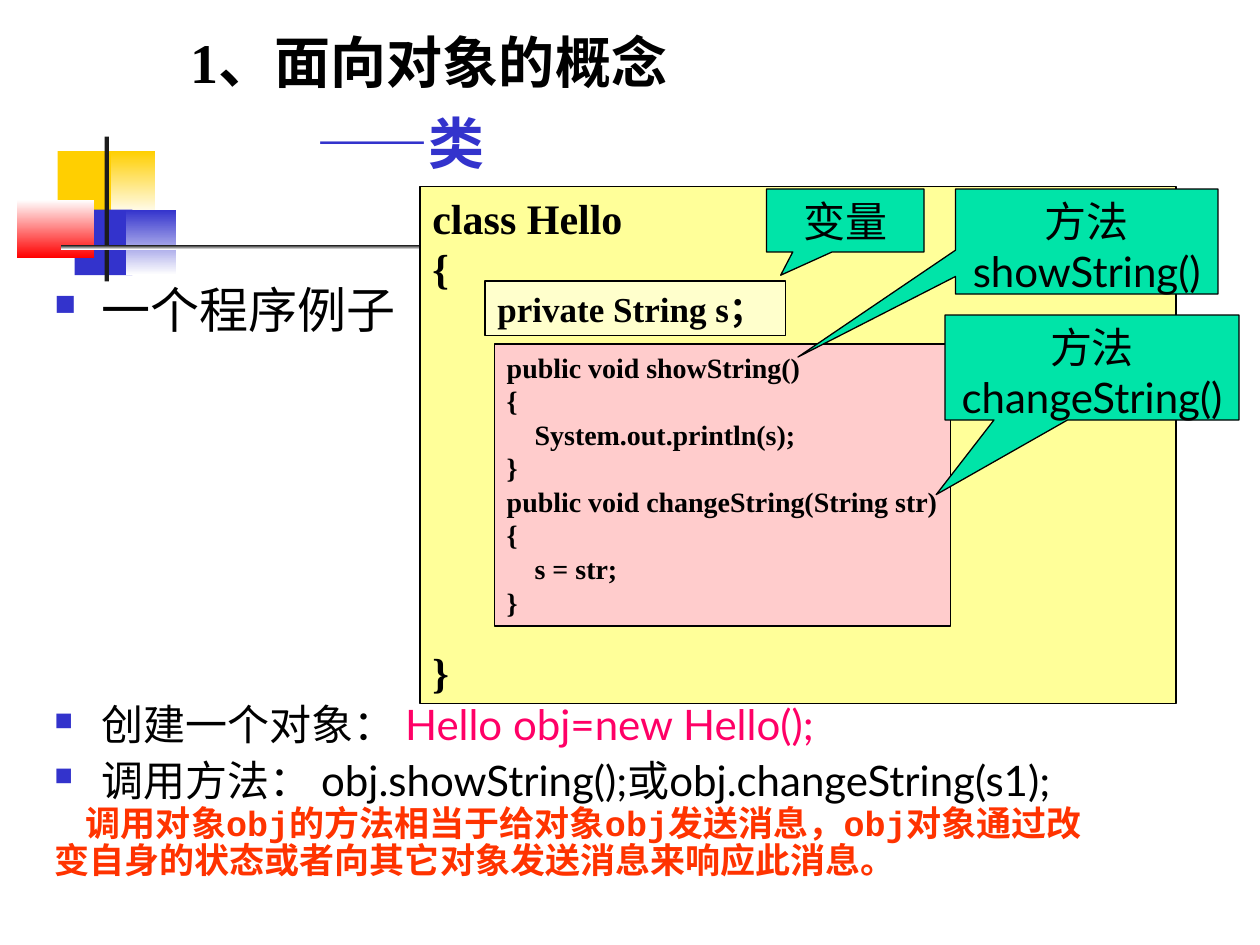
import pptx
import pptx.util
import pptx.dml.color
import pptx.enum.shapes
import pptx.enum.text
import pptx.oxml.ns
from lxml import etree

Pt = pptx.util.Pt
KIND = pptx.enum.shapes.MSO_SHAPE
ALIGN = pptx.enum.text.PP_ALIGN
HUE = {
    "gold": "FFCF01", "blue": "3333CC", "red": "FF0000", "white": "FFFFFF",
    "dark": "1C1C1C", "black": "000000", "yellow": "FFFF99", "cream": "FFFFCC",
    "rose": "FFCCCC", "mint": "00E4A8", "pink": "FF0066", "orange": "FF3300",
}
SERIF, SANS, MONO = "Times New Roman", "Lato", "Courier New"


def rgb(name):
    return pptx.dml.color.RGBColor.from_string(HUE[name])


def write(shape, lines, face, size, bold=False, align=ALIGN.LEFT, wrap=True):
    """Fill a shape with (text or runs, options) lines, each 1.2 times its size high."""
    frame = shape.text_frame
    frame.word_wrap = wrap
    frame.auto_size = pptx.enum.text.MSO_AUTO_SIZE.NONE
    frame.vertical_anchor = pptx.enum.text.MSO_ANCHOR.TOP
    for i, (text, opt) in enumerate(lines):
        para = frame.paragraphs[0] if i == 0 else frame.add_paragraph()
        pts = opt.get("size", size)
        para.alignment = align
        para.line_spacing = Pt(round(pts * 1.2 * opt.get("lead", 1), 2))
        para.space_before = Pt(opt.get("gap", 0))
        props = para._p.get_or_add_pPr()
        left, first = opt.get("indent", (0, 0))
        props.set("marL", str(Pt(left)))
        props.set("indent", str(Pt(first)))
        if opt.get("bullet"):
            tag = pptx.oxml.ns.qn
            tint = etree.SubElement(props, tag("a:buClr"))
            etree.SubElement(tint, tag("a:srgbClr"), val=HUE["blue"])
            etree.SubElement(props, tag("a:buSzPct"), val="60000")
            etree.SubElement(props, tag("a:buChar"), char="■")
        font = para.font
        font.name = opt.get("face", face)
        font.size = Pt(pts)
        font.bold = opt.get("bold", bold)
        runs = [(text, opt.get("hue", "black"))] if isinstance(text, str) else text
        if len(runs) == 1:
            font.color.rgb = rgb(runs[0][1])
        for words, hue in runs:
            run = para.add_run()
            run.text = words
            if len(runs) > 1:
                run.font.color.rgb = rgb(hue)


deck = pptx.Presentation()
deck.slide_width, deck.slide_height = Pt(720), Pt(540)
slide = deck.slides.add_slide(deck.slide_layouts[6])
shapes = slide.shapes

# Corner ornament: one colour is solid, two fade from top to bottom
decor = [
    (33, 86.4, 34.8, 37.4, ["gold"]),
    (63.2, 86.4, 25.6, 37.4, ["gold", "white"]),
    (42.6, 119.8, 33.1, 37.4, ["blue"]),
    (72, 119.8, 28.6, 37.4, ["blue", "white"]),
    (9.8, 114.2, 44.2, 33.2, ["white", "red"]),
    (59.8, 78, 2.4, 82.8, ["dark"]),
    (34.8, 140.2, 648, 2.4, ["dark", "white"]),
]
for x, y, w, h, tints in decor:
    block = shapes.add_shape(KIND.RECTANGLE, Pt(x), Pt(y), Pt(w), Pt(h))
    block.shadow.inherit = False
    block.line.fill.background()
    if len(tints) == 1:
        block.fill.solid()
        block.fill.fore_color.rgb = rgb(tints[0])
    else:
        block.fill.gradient()
        block.fill.gradient_angle = 270
        for stop, tint in zip(block.fill.gradient_stops, tints):
            stop.color.rgb = rgb(tint)

# Body text
hang = {"indent": (27, -27), "bullet": True}
point = {**hang, "size": 24, "lead": 0.9, "gap": 6}
note = {"size": 20, "lead": 0.9, "face": MONO, "bold": True, "hue": "orange"}
body = shapes.add_textbox(Pt(24), Pt(156.2), Pt(672), Pt(366))
write(body, [
    ("一个程序例子", hang),
    ([("创建一个对象： ", "black"), ("Hello obj=new Hello();", "pink")],
     {**point, "gap": 209}),
    ("调用方法： obj.showString();或obj.changeString(s1);", point),
    ("调用对象obj的方法相当于给对象obj发送消息，obj对象通过改",
     {**note, "indent": (0, 18)}),
    ("变自身的状态或者向其它对象发送消息来响应此消息。", note),
], SANS, 28)

# Code panels, then the callouts that point into them
step = {"indent": (16, 0)}
panels = [
    (240, 106.5, 432, 295.4, "yellow", 24, True,
     [("class Hello", {}), ("{", {}), ("}", {"gap": 201.6})]),
    (277.2, 160.6, 171.6, 31.2, "cream", 20, False, [("private String s；", {})]),
    (282.5, 196.5, 260.5, 161.2, "rose", 16, False, [
        ("public void showString()", {}), ("{", {}),
        ("System.out.println(s);", step), ("}", {}),
        ("public void changeString(String str)", {}), ("{", {}),
        ("s = str;", step), ("}", {})]),
]
calls = [
    (438, 108, 90, 36, (-0.41, 0.87), "变量"),
    (546, 108, 150, 60, (-1.1, 1.1), "方法showString()"),
    (540, 180, 168, 60, (-0.53, 1.21), "方法changeString()"),
]
boxes = [(KIND.RECTANGLE, *panel[:5], (), panel[7],
          (SERIF, panel[5], True, ALIGN.LEFT, panel[6])) for panel in panels]
boxes += [(KIND.RECTANGULAR_CALLOUT, *call[:4], "mint", call[4], [(call[5], {})],
           (SANS, 24, False, ALIGN.CENTER)) for call in calls]
for kind, x, y, w, h, tint, tip, lines, style in boxes:
    box = shapes.add_shape(kind, Pt(x), Pt(y), Pt(w), Pt(h))
    box.shadow.inherit = False
    box.fill.solid()
    box.fill.fore_color.rgb = rgb(tint)
    box.line.color.rgb = rgb("black")
    box.line.width = Pt(0.75)
    for i, value in enumerate(tip):
        box.adjustments[i] = value
    write(box, lines, *style)

# Title
title = shapes.add_textbox(Pt(102), Pt(12), Pt(336), Pt(92))
write(title, [
    ("1、面向对象的概念", {}),
    ("——类", {"gap": 8, "indent": (72, 0), "hue": "blue"}),
], SERIF, 32, True)

deck.save("out.pptx")
